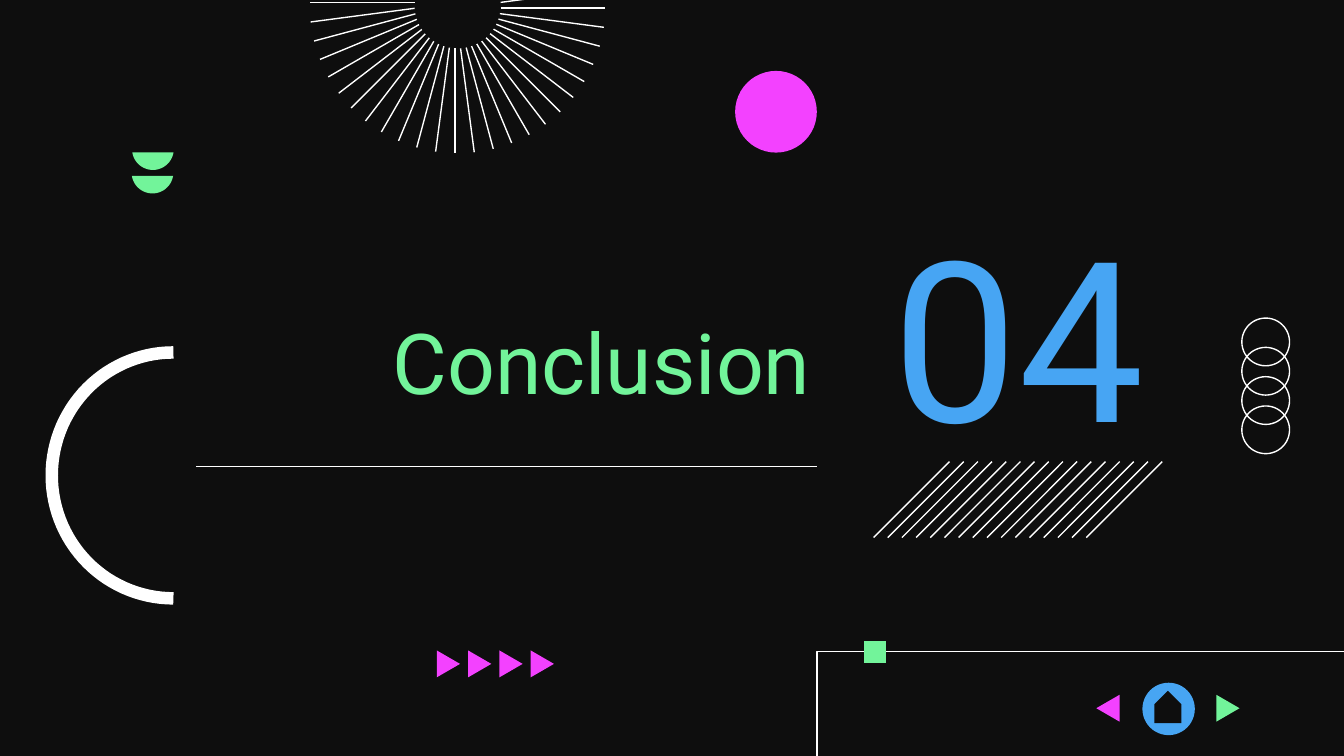
from math import cos, radians, sin

from lxml.etree import SubElement
from pptx import Presentation
from pptx.dml.color import RGBColor as RGB
from pptx.enum.shapes import MSO_CONNECTOR as Conn, MSO_SHAPE as Kind
from pptx.enum.text import MSO_ANCHOR as Anchor, PP_ALIGN as Align
from pptx.oxml.ns import qn
from pptx.util import Inches, Pt

HUES = {"black": "0E0E0E", "white": "FFFFFF", "pink": "F341FF",
        "green": "72F49A", "blue": "47A5F3"}
COLS, ROWS = 100, 56.25
CELL = Inches(0.1)  # square grid cell

deck = Presentation()
deck.slide_width, deck.slide_height = int(COLS * CELL), int(ROWS * CELL)
slide = deck.slides.add_slide(deck.slide_layouts[5])
slide.background.fill.solid()
slide.background.fill.fore_color.rgb = RGB.from_string(HUES["black"])
shapes = slide.shapes


def paint(shape, fill=None, line=None, width=0.75):
    """Set fill and line by colour name, or none, and drop the shadow."""
    if hasattr(shape, "fill"):
        shape.shadow.inherit = False
        if fill:
            shape.fill.solid()
            shape.fill.fore_color.rgb = RGB.from_string(HUES[fill])
        else:
            shape.fill.background()
    else:
        SubElement(shape.element.spPr, qn("a:effectLst"))
    if line:
        shape.line.color.rgb = RGB.from_string(HUES[line])
        shape.line.width = Pt(width)
    else:
        shape.line.fill.background()


def draw(points, closed=True):
    """Build a freeform from points given in grid cells."""
    spots = [(round(x * CELL), round(y * CELL)) for x, y in points]
    form = shapes.build_freeform(*spots[0])
    form.add_line_segments(spots[1:], close=closed)
    return form.convert_to_shape()


# Column of rings and the pink disc
discs = [(92.4, 23.67 + 2.18 * i, 3.55, None, "white") for i in range(4)]
discs += [(54.7, 5.28, 6.08, "pink", None), (85, 50.8, 3.9, "blue", None)]
for x, y, size, fill, line in discs:
    disc = shapes.add_shape(Kind.OVAL, *(round(v * CELL) for v in (x, y, size, size)))
    paint(disc, fill, line)

# Home sign inside the blue disc
home = shapes.add_shape(Kind.PENTAGON, *(round(v * CELL) for v in (85.7, 51.6, 2.4, 2)))
home.rotation = 270
paint(home, "black")

# Corner frame with its square
paint(draw([(104, 48.5), (60.8, 48.5), (60.8, 82.5)], closed=False), line="white")
paint(draw([(64.3, 47.7), (65.9, 47.7), (65.9, 49.3), (64.3, 49.3)]), "green")

# Arrow row and the two page arrows: base x, middle y, length
heads = [(32.5 + 2.33 * i, 49.4, 1.73, "pink") for i in range(4)]
heads += [(83.3, 52.7, -1.73, "pink"), (90.5, 52.7, 1.73, "green")]
for x, y, size, hue in heads:
    paint(draw([(x, y - 1), (x + size, y), (x, y + 1)]), hue)

# Bowls, then the big half ring
for x, y in ((11.35, 12.85), (11.38, 11.1)):
    bowl = [(x + 1.55 * cos(radians(a)), y + 1.55 * sin(radians(a)))
            for a in range(9, 172, 3)]
    paint(draw(bowl), "green")
ring = [(12.9 + 9.05 * cos(radians(a)), 35.38 + 9.15 * sin(radians(a)))
        for a in range(90, 271, 3)]
paint(draw(ring, closed=False), line="white", width=6.69)

# Straight lines: rule, sunburst, hatching
lines = [(14.6, 34.7, 60.8, 34.7)]
for i in range(-1, 25):
    c, s = cos(radians(7.5 * i)), sin(radians(7.5 * i))
    x, y = 34.05 - 0.2 * s, 0.4 + 0.2 * c
    lines.append((x + 3.2 * c, y + 3.2 * s, x + 11 * c, y + 11 * s))
for i in range(16):
    x = 65 + 1.055 * i
    lines.append((x + 5.65, 34.35, x, 40))
for ends in lines:
    paint(shapes.add_connector(Conn.STRAIGHT, *(round(v * CELL) for v in ends)),
          line="white")

# Title and section number
title = shapes.title
number = shapes.add_textbox(0, 0, CELL, CELL)
for box, area, text, size, hue, align in (
        (title, (12, 23.1, 49.3, 14.1), "Conclusion", 45, "green", Align.RIGHT),
        (number, (61.7, 14.8, 28.2, 17.5), "04", 120, "blue", Align.CENTER)):
    box.left, box.top, box.width, box.height = (round(v * CELL) for v in area)
    frame = box.text_frame
    frame.word_wrap = True
    frame.vertical_anchor = Anchor.TOP
    frame.margin_left = frame.margin_right = frame.margin_bottom = CELL
    frame.margin_top = 0
    para = frame.paragraphs[0]
    para.text, para.alignment = text, align
    para.font.name, para.font.size = "Roboto", Pt(size)
    para.font.color.rgb = RGB.from_string(HUES[hue])

deck.save("out.pptx")
